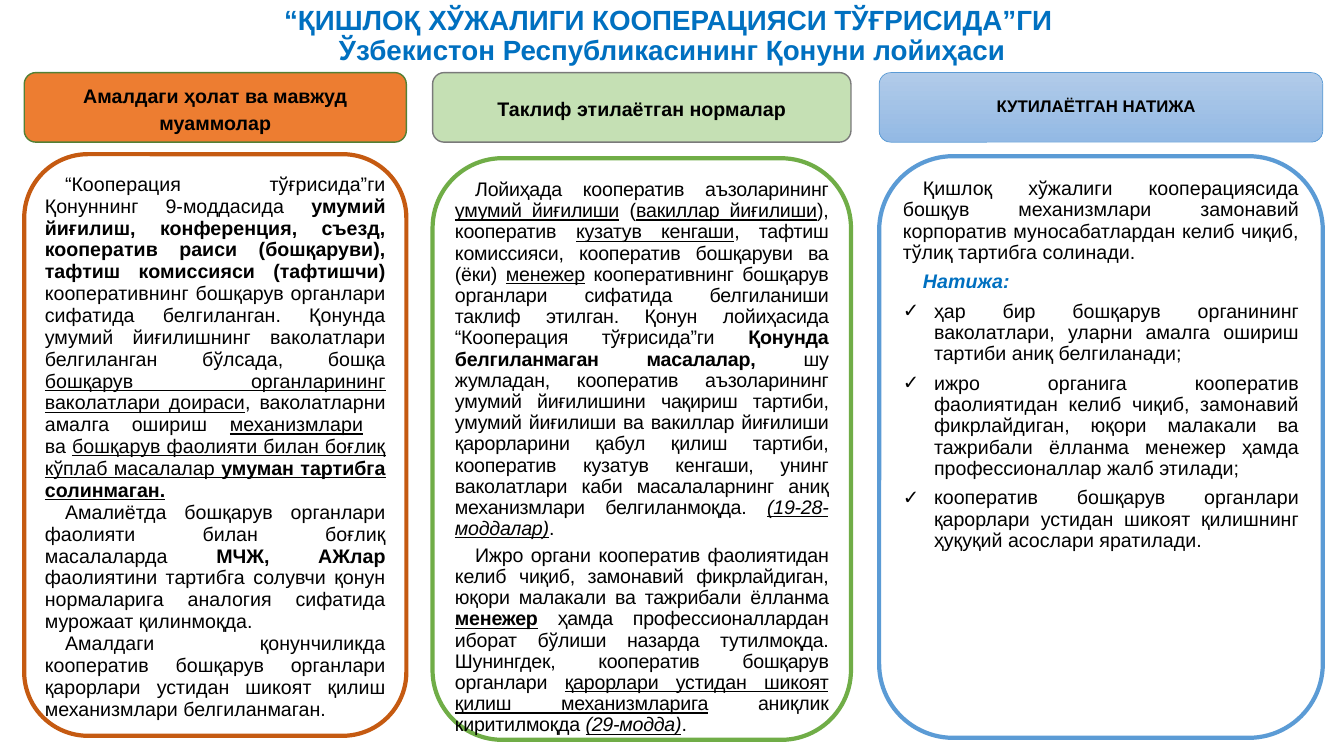
from lxml.etree import SubElement
from pptx import Presentation
from pptx.dml.color import RGBColor
from pptx.enum.shapes import MSO_SHAPE
from pptx.enum.text import MSO_ANCHOR, PP_ALIGN
from pptx.oxml.ns import qn
from pptx.util import Inches, Pt

COLORS = {
    "black": "000000", "blue": "0070C0", "white": "FFFFFF",
    "orange": "ED7D31", "dark_green": "538035", "rust": "C55A11",
    "pale_green": "C5E0B4", "gray": "7A7A7A", "green": "70AD47",
    "sky_top": "B1CBE9", "sky_bottom": "93B9E4", "sky": "5B9BD5",
}
FONT = "Arial"
SLIDE_W, SLIDE_H = 13.33, 7.5
HEAD_TOP, HEAD_H, BODY_H = 0.72, 0.69, 5.77
# Grid columns: left and width
GRID = [(0.24, 3.79), (4.29, 4.15), (8.72, 4.4)]

TITLE = "“ҚИШЛОҚ ХЎЖАЛИГИ КООПЕРАЦИЯСИ ТЎҒРИСИДА”ГИ \nЎзбекистон Республикасининг Қонуни лойиҳаси"

# Each paragraph is a list of runs: (text, flags); flags are b, i, u
PROBLEMS = [
    [("“Кооперация тўғрисида”ги Қонуннинг 9-моддасида ", ""),
     ("умумий йиғилиш, конференция, съезд, кооператив раиси (бошқаруви), "
      "тафтиш комиссияси (тафтишчи) ", "b"),
     ("кооперативнинг бошқарув органлари сифатида белгиланган. Қонунда умумий "
      "йиғилишнинг ваколатлари белгиланган бўлсада, бошқа ", ""),
     ("бошқарув органларининг ваколатлари доираси", "u"),
     (", ваколатларни амалга ошириш ", ""), ("механизмлари", "u"), (" \nва ", ""),
     ("бошқарув фаолияти билан боғлиқ кўплаб масалалар ", "u"),
     ("умуман тартибга солинмаган.", "bu")],
    [("Амалиётда бошқарув органлари фаолияти билан боғлиқ масалаларда ", ""),
     ("МЧЖ, АЖлар ", "b"),
     ("фаолиятини тартибга солувчи қонун нормаларига аналогия сифатида "
      "мурожаат қилинмоқда.", "")],
    [("Амалдаги қонунчиликда кооператив бошқарув органлари қарорлари устидан "
      "шикоят қилиш механизмлари белгиланмаган.", "")],
]
NORMS = [
    [("Лойиҳада кооператив аъзоларининг ", ""), ("умумий йиғилиши", "u"),
     (" (", ""), ("вакиллар йиғилиши", "u"), ("), кооператив ", ""),
     ("кузатув кенгаши", "u"),
     (", тафтиш комиссияси, кооператив бошқаруви ва (ёки) ", ""),
     ("менежер", "u"),
     (" кооперативнинг бошқарув органлари сифатида белгиланиши таклиф этилган. "
      "Қонун лойиҳасида “Кооперация тўғрисида”ги ", ""),
     ("Қонунда белгиланмаган масалалар, ", "b"),
     ("шу жумладан, кооператив аъзоларининг умумий йиғилишини чақириш тартиби, "
      "умумий йиғилиши ва вакиллар йиғилиши қарорларини қабул қилиш тартиби, "
      "кооператив кузатув кенгаши, унинг ваколатлари каби масалаларнинг аниқ "
      "механизмлари белгиланмоқда. ", ""),
     ("(19-28-моддалар)", "iu"), (".", "")],
    [("Ижро органи кооператив фаолиятидан келиб чиқиб, замонавий фикрлайдиган, "
      "юқори малакали ва тажрибали ёлланма ", ""), ("менежер", "bu"),
     (" ҳамда профессионаллардан иборат бўлиши назарда тутилмоқда. Шунингдек, "
      "кооператив бошқарув органлари ", ""),
     ("қарорлари устидан шикоят қилиш механизмларига", "u"),
     (" аниқлик киритилмоқда ", ""), ("(29-модда)", "iu"), (".", "")],
]
RESULT_INTRO = [
    [("Қишлоқ хўжалиги кооперациясида бошқув механизмлари замонавий корпоратив "
      "муносабатлардан келиб чиқиб, тўлиқ тартибга солинади.", "")],
]
RESULT_LABEL = [[("Натижа: ", "bi")]]
RESULT_LIST = [
    [("ҳар бир бошқарув органининг ваколатлари, уларни амалга ошириш тартиби "
      "аниқ белгиланади;", "")],
    [("ижро органига кооператив фаолиятидан келиб чиқиб, замонавий "
      "фикрлайдиган, юқори малакали ва тажрибали ёлланма менежер ҳамда "
      "профессионаллар жалб этилади;", "")],
    [("кооператив бошқарув органлари қарорлари устидан шикоят қилишнинг ҳуқуқий "
      "асослари яратилади.", "")],
]


def rgb(name):
    """Look up a named colour."""
    return RGBColor.from_string(COLORS[name])


def add_runs(p, runs, size=14, color="black", spacing=0):
    """Add flagged runs to a paragraph, turning newlines into line breaks."""
    for text, flags in runs:
        for n, part in enumerate(text.split("\n")):
            if n:
                p.add_line_break()
            r = p.add_run()
            r.text = part
            f = r.font
            f.name, f.size, f.color.rgb = FONT, Pt(size), rgb(color)
            f.bold, f.italic, f.underline = "b" in flags, "i" in flags, "u" in flags
            if spacing:
                r._r.get_or_add_rPr().set("spc", str(int(spacing * 100)))


def add_paragraphs(tf, paragraphs, line=0.9, before=0, after=0, bullet=None, **font):
    """Add justified paragraphs with a first-line indent or a hanging bullet."""
    for runs in paragraphs:
        p = tf.paragraphs[0]
        if p.runs:
            p = tf.add_paragraph()
        p.alignment, p.line_spacing = PP_ALIGN.JUSTIFY, line
        p.space_before, p.space_after = Pt(before), Pt(after)
        pPr = p._p.get_or_add_pPr()
        margin, indent = (0.31, -0.31) if bullet else (0, 0.2)
        pPr.set("marL", str(Inches(margin)))
        pPr.set("indent", str(Inches(indent)))
        if bullet:
            SubElement(pPr, qn("a:buFont")).set("typeface", FONT)
            SubElement(pPr, qn("a:buChar")).set("char", bullet)
        add_runs(p, runs, **font)


def add_box(s, col, top, height, line, weight):
    """Add an unfilled rounded box that spans one grid column."""
    left, width = GRID[col]
    sp = s.shapes.add_shape(MSO_SHAPE.ROUNDED_RECTANGLE, Inches(left), Inches(top),
                            Inches(width), Inches(height))
    sp.shadow.inherit = False
    sp.fill.background()
    sp.line.color.rgb, sp.line.width = rgb(line), Pt(weight)
    sp.text_frame.word_wrap = True
    return sp


def add_centered(tf, text, size, color, line, after=0):
    """Fill a text frame with one bold centred paragraph."""
    tf.vertical_anchor = MSO_ANCHOR.MIDDLE
    p = tf.paragraphs[0]
    p.alignment, p.line_spacing, p.space_after = PP_ALIGN.CENTER, line, Pt(after)
    add_runs(p, [(text, "b")], size, color)


def add_title(s, text):
    """Add the two-line title across the slide."""
    sp = s.shapes.add_textbox(0, Inches(0.01), Inches(SLIDE_W), Inches(0.7))
    sp.text_frame.word_wrap = True
    add_centered(sp.text_frame, text, 19.8, "blue", 0.9)


def add_header(s, col, text, fills, line, weight=1, size=14, spacing=1.15, after=10):
    """Add a column header with a solid fill or a vertical two-colour gradient."""
    sp = add_box(s, col, HEAD_TOP, HEAD_H, line, weight)
    if len(fills) == 1:
        sp.fill.solid()
        sp.fill.fore_color.rgb = rgb(fills[0])
    else:
        sp.fill.gradient()
        sp.fill.gradient_angle = 270
        for stop, name, place in zip(sp.fill.gradient_stops, fills, (0, 1)):
            stop.color.rgb, stop.position = rgb(name), place
    add_centered(sp.text_frame, text, size, "black", spacing, after)


def add_body(s, col, top, line):
    """Add a column's outlined text box and return its text frame."""
    tf = add_box(s, col, top, BODY_H, line, 3).text_frame
    tf.vertical_anchor = MSO_ANCHOR.TOP
    tf.margin_left = tf.margin_right = Inches(0.02)
    tf.margin_top = tf.margin_bottom = Inches(0.01)
    return tf


def main():
    """Build the slide and save it."""
    prs = Presentation()
    prs.slide_width, prs.slide_height = Inches(SLIDE_W), Inches(SLIDE_H)
    s = prs.slides.add_slide(prs.slide_layouts[6])
    add_title(s, TITLE)

    add_header(s, 0, "Амалдаги ҳолат ва мавжуд муаммолар", ["orange"], "dark_green")
    add_header(s, 1, "Таклиф этилаётган нормалар", ["pale_green"], "gray")
    add_header(s, 2, "КУТИЛАЁТГАН НАТИЖА \u00a0", ["sky_top", "sky_bottom"], "sky",
               weight=0.5, size=12, spacing=0.8, after=0)

    add_paragraphs(add_body(s, 0, 1.53, "rust"), PROBLEMS, line=0.93)
    add_paragraphs(add_body(s, 1, 1.57, "green"), NORMS, before=4, spacing=-0.2)
    tf = add_body(s, 2, 1.55, "sky")
    add_paragraphs(tf, RESULT_INTRO, after=6)
    add_paragraphs(tf, RESULT_LABEL, after=6, color="blue")
    add_paragraphs(tf, RESULT_LIST, after=6, bullet="✓")
    prs.save("out.pptx")


main()
